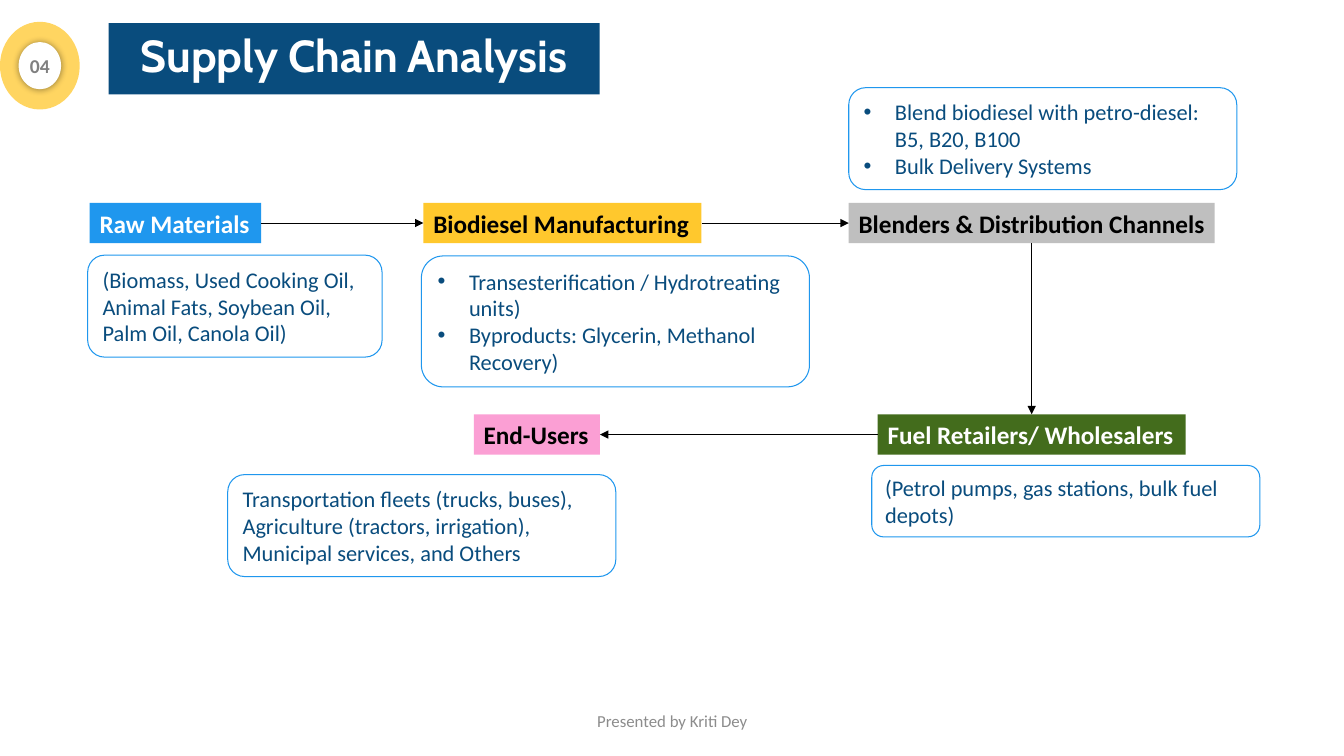
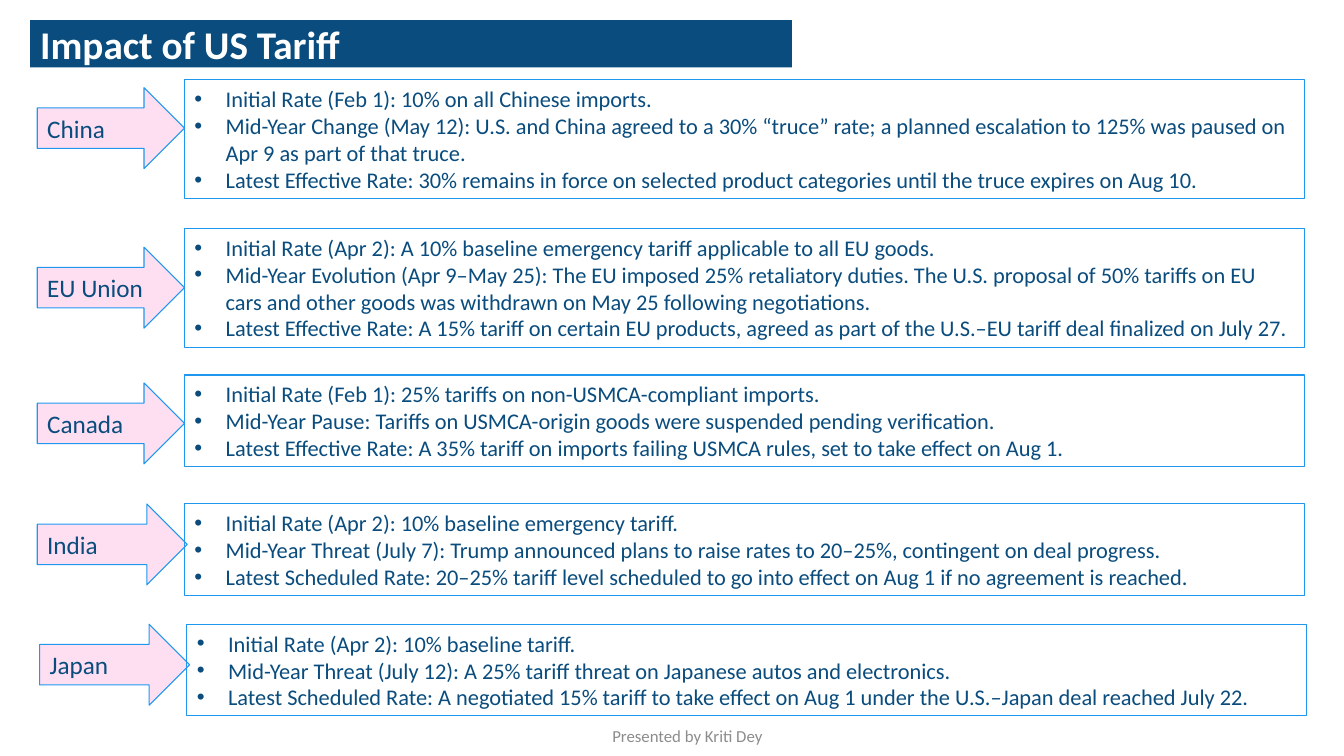
from dataclasses import dataclass

from lxml import etree
from pptx import Presentation
from pptx import util as u
from pptx.dml.color import RGBColor
from pptx.enum import shapes, text
from pptx.oxml import ns


@dataclass(frozen=True)
class Theme:
    navy: str = "094C7D"
    blue: str = "1F97EE"
    yellow: str = "FFC82D"
    silver: str = "BFBFBF"
    green: str = "436C1C"
    pink: str = "FB9FD4"
    pale_pink: str = "FEDFF1"
    white: str = "FFFFFF"
    black: str = "000000"
    badge_grey: str = "808080"
    footer_grey: str = "8C8C8C"
    body_font: str = "Calibri"
    display_font: str = "Cabin"
    display: int = 32
    heading: int = 28
    label: int = 18
    body: int = 16
    badge: int = 14
    footer: int = 12
    outline: float = 0.75
    arrow: float = 0.5


@dataclass(frozen=True)
class Stage:
    name: str
    box: tuple
    fill: str
    color: str
    note: tuple
    lines: tuple
    bullets: bool = False


@dataclass(frozen=True)
class Tariff:
    country: str
    box: tuple
    arrow_drop: float
    arrow_width: float
    facts: tuple


THEME = Theme()
PRESET = shapes.MSO_SHAPE
ALIGN = text.PP_ALIGN
ANCHOR = text.MSO_ANCHOR
TOP, LEFT, BOTTOM, RIGHT = range(4)

STAGES = (
    Stage("Raw Materials", (2.26, 5.11, 4.32, 1.02), THEME.blue, THEME.white,
          (-0.05, 1.32, 7.42, 2.57),
          ("(Biomass, Used Cooking Oil, Animal Fats, Soybean Oil, Palm Oil, Canola Oil)",)),
    Stage("Biodiesel Manufacturing", (10.67, 5.11, 7.01, 1.02), THEME.yellow, THEME.black,
          (-0.05, 1.34, 9.78, 3.3),
          ("Transesterification / Hydrotreating units)",
           "Byproducts: Glycerin, Methanol Recovery)"), True),
    Stage("Blenders & Distribution Channels", (21.39, 5.11, 9.22, 1.02), THEME.silver, THEME.black,
          (0, -2.9, 9.78, 2.57),
          ("Blend biodiesel with petro-diesel: B5, B20, B100", "Bulk Delivery Systems"), True),
    Stage("Fuel Retailers/ Wholesalers", (22.12, 10.44, 7.76, 1.02), THEME.green, THEME.white,
          (-0.15, 1.29, 9.78, 1.8),
          ("(Petrol pumps, gas stations, bulk fuel depots)",)),
    Stage("End-Users", (11.94, 10.44, 3.18, 1.02), THEME.pink, THEME.black,
          (-6.2, 1.52, 9.78, 2.57),
          ("Transportation fleets (trucks, buses), Agriculture (tractors, irrigation), "
           "Municipal services, and Others",)),
)
STAGE_SIDES = ((RIGHT, LEFT), (RIGHT, LEFT), (BOTTOM, TOP), (LEFT, RIGHT))

TARIFFS = (
    Tariff("China", (0.94, 2.01, 31.93, 3), 0.2, 3.71, (
        "Initial Rate (Feb 1): 10% on all Chinese imports.",
        "Mid-Year Change (May 12): U.S. and China agreed to a 30% “truce” rate; a planned "
        "escalation to 125% was paused on Apr 9 as part of that truce.",
        "Latest Effective Rate: 30% remains in force on selected product categories until "
        "the truce expires on Aug 10.")),
    Tariff("EU Union", (0.94, 5.75, 31.93, 3), 0.48, 3.71, (
        "Initial Rate (Apr 2): A 10% baseline emergency tariff applicable to all EU goods.",
        "Mid-Year Evolution (Apr 9–May 25): The EU imposed 25% retaliatory duties. The U.S. "
        "proposal of 50% tariffs on EU cars and other goods was withdrawn on May 25 "
        "following negotiations.",
        "Latest Effective Rate: A 15% tariff on certain EU products, agreed as part of the "
        "U.S.–EU tariff deal finalized on July 27.")),
    Tariff("Canada", (0.94, 9.45, 31.93, 2.31), 0.2, 3.71, (
        "Initial Rate (Feb 1): 25% tariffs on non-USMCA-compliant imports.",
        "Mid-Year Pause: Tariffs on USMCA-origin goods were suspended pending verification.",
        "Latest Effective Rate: A 35% tariff on imports failing USMCA rules, set to take "
        "effect on Aug 1.")),
    Tariff("India", (0.94, 12.7, 31.93, 2.31), 0, 3.78, (
        "Initial Rate (Apr 2): 10% baseline emergency tariff.",
        "Mid-Year Threat (July 7): Trump announced plans to raise rates to 20–25%, "
        "contingent on deal progress.",
        "Latest Scheduled Rate: 20–25% tariff level scheduled to go into effect on Aug 1 "
        "if no agreement is reached.")),
    Tariff("Japan", (1, 15.73, 31.93, 2.31), 0, 3.78, (
        "Initial Rate (Apr 2): 10% baseline tariff.",
        "Mid-Year Threat (July 12): A 25% tariff threat on Japanese autos and electronics.",
        "Latest Scheduled Rate: A negotiated 15% tariff to take effect on Aug 1 under the "
        "U.S.–Japan deal reached July 22.")),
)


def add_xml(parent, tag, **attributes):
    return etree.SubElement(parent, ns.qn(tag), {key: str(value) for key, value in attributes.items()})


def cm_box(box):
    return [u.Cm(length) for length in box]


def write_text(shape, lines, *, size, color, font=THEME.body_font, bold=False, align=ALIGN.LEFT,
               anchor=ANCHOR.MIDDLE, wrap=True, bullets=False, inset=None, spacing=None, after=None):
    frame = shape.text_frame
    frame.text = "\n".join(lines)
    frame.auto_size = text.MSO_AUTO_SIZE.NONE
    frame.word_wrap = wrap
    frame.vertical_anchor = anchor
    if inset is not None:
        frame.margin_left = frame.margin_right = u.Cm(inset)
        frame.margin_top = frame.margin_bottom = u.Cm(inset)
    for paragraph in frame.paragraphs:
        paragraph.alignment = align
        if spacing:
            paragraph.line_spacing = spacing
        if after:
            paragraph.space_after = u.Pt(after)
        if bullets:
            properties = paragraph._p.get_or_add_pPr()
            properties.set("marL", str(u.Cm(0.79)))
            properties.set("indent", str(u.Cm(-0.79)))
            add_xml(properties, "a:buFont", typeface="Arial")
            add_xml(properties, "a:buChar", char="•")
        for run in paragraph.runs:
            run.font.name = font
            run.font.size = u.Pt(size)
            run.font.bold = bold
            run.font.color.rgb = RGBColor.from_string(color)


def add_box(slide, preset, box, fill=None, line=None):
    shape = slide.shapes.add_shape(preset, *cm_box(box))
    shape.shadow.inherit = False
    if fill:
        shape.fill.solid()
        shape.fill.fore_color.rgb = RGBColor.from_string(fill)
    else:
        shape.fill.background()
    if line:
        shape.line.color.rgb = RGBColor.from_string(line)
        shape.line.width = u.Pt(THEME.outline)
    else:
        shape.line.fill.background()
    return shape


def add_title(slide, box, words, **style):
    title = slide.shapes.title
    title.left, title.top, title.width, title.height = cm_box(box)
    geometry = add_xml(title._element.spPr, "a:prstGeom", prst="roundRect")
    add_xml(geometry, "a:avLst")
    title.fill.solid()
    title.fill.fore_color.rgb = RGBColor.from_string(THEME.navy)
    write_text(title, [words], color=THEME.white, bold=True, anchor=ANCHOR.TOP, **style)


def add_footer(slide, box):
    footer = slide.shapes.add_textbox(*cm_box(box))
    write_text(footer, ["Presented by Kriti Dey"], size=THEME.footer,
               color=THEME.footer_grey, align=ALIGN.CENTER)


def add_badge(slide, box, number):
    left, top, width, height = box
    ring = add_box(slide, PRESET.OVAL, box, THEME.yellow)
    ring_color = ring._element.spPr.find(ns.qn("a:solidFill"))[0]
    add_xml(ring_color, "a:alpha", val=75000)
    inner_width, inner_height = 1.07, 1.19
    center = add_box(slide, PRESET.OVAL,
                     (left + (width - inner_width) / 2, top + (height - inner_height) / 2,
                      inner_width, inner_height), THEME.white)
    effects = center._element.spPr.find(ns.qn("a:effectLst"))
    shadow = add_xml(effects, "a:outerShdw", blurRad=u.Pt(5), dist=0, algn="ctr", rotWithShape=0)
    shadow_color = add_xml(shadow, "a:srgbClr", val=THEME.black)
    add_xml(shadow_color, "a:alpha", val=40000)
    write_text(center, [number], size=THEME.badge, color=THEME.badge_grey, bold=True,
               align=ALIGN.CENTER, wrap=False, inset=0)


def add_stage(slide, box, stage):
    label = add_box(slide, PRESET.RECTANGLE, box, stage.fill)
    write_text(label, [stage.name], size=THEME.label, color=stage.color, bold=True, wrap=False)
    across, down, width, height = stage.note
    note = add_box(slide, PRESET.ROUNDED_RECTANGLE,
                   (box[0] + across, box[1] + down, width, height), line=THEME.blue)
    write_text(note, stage.lines, size=THEME.body, color=THEME.navy, bullets=stage.bullets)
    return label


def add_arrow(slide, start, start_side, end, end_side):
    arrow = slide.shapes.add_connector(shapes.MSO_CONNECTOR.STRAIGHT, 0, 0, 0, 0)
    arrow.begin_connect(start, start_side)
    arrow.end_connect(end, end_side)
    arrow.line.color.rgb = RGBColor.from_string(THEME.black)
    arrow.line.width = u.Pt(THEME.arrow)
    add_xml(arrow.line._get_or_add_ln(), "a:tailEnd", type="triangle")
    add_xml(arrow._element.spPr, "a:effectLst")


def add_tariff(slide, box, tariff):
    left, top, width, height = box
    facts_offset = 3.71
    arrow = add_box(slide, PRESET.RIGHT_ARROW,
                    (left, top + tariff.arrow_drop, tariff.arrow_width, 2.04),
                    THEME.pale_pink, THEME.blue)
    write_text(arrow, [tariff.country], size=THEME.label, color=THEME.navy)
    facts = add_box(slide, PRESET.RECTANGLE,
                    (left + facts_offset, top, width - facts_offset, height), line=THEME.blue)
    write_text(facts, tariff.facts, size=THEME.body, color=THEME.navy, bullets=True)


def build_supply_chain(slide):
    add_title(slide, (2.74, 0.58, 12.37, 1.8), "Supply Chain Analysis", size=THEME.display,
              font=THEME.display_font, align=ALIGN.CENTER)
    labels = [add_stage(slide, stage.box, stage) for stage in STAGES]
    for start, end, (start_side, end_side) in zip(labels, labels[1:], STAGE_SIDES):
        add_arrow(slide, start, start_side, end, end_side)
    add_badge(slide, (0, 0.55, 2.01, 2.21), "04")
    add_footer(slide, (11.23, 17.65, 11.43, 1.02))


def build_tariff_impact(slide):
    add_title(slide, (0.76, 0.51, 19.2, 1.19), "Impact of US Tariff", size=THEME.heading,
              spacing=0.9, after=6)
    add_footer(slide, (11.61, 18.03, 11.43, 1.02))
    for tariff in TARIFFS:
        add_tariff(slide, tariff.box, tariff)


def main():
    presentation = Presentation()
    presentation.slide_width, presentation.slide_height = u.Cm(33.87), u.Cm(19.05)
    title_only = presentation.slide_layouts[5]
    for build in (build_supply_chain, build_tariff_impact):
        build(presentation.slides.add_slide(title_only))
    presentation.save("out.pptx")


if __name__ == "__main__":
    main()
